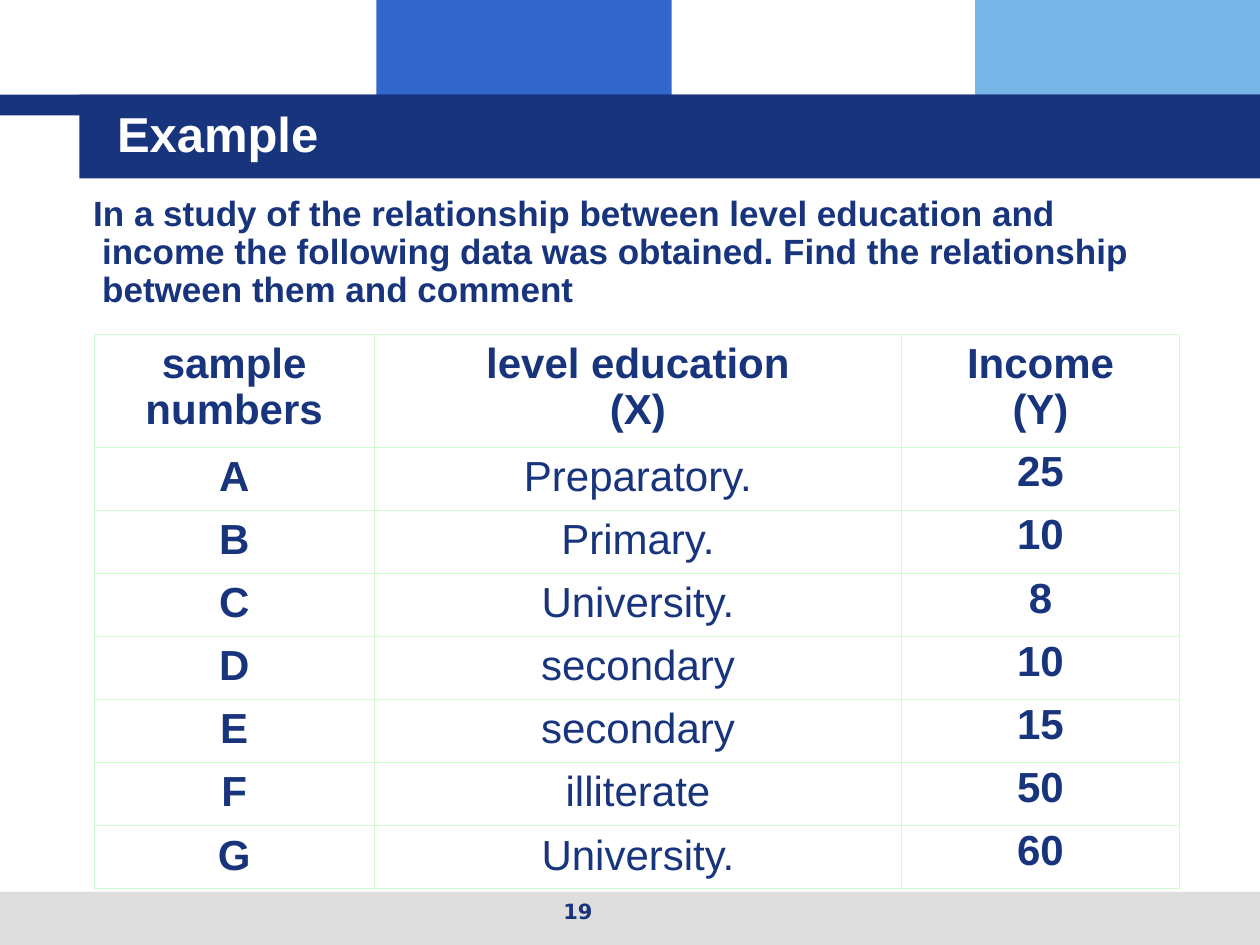
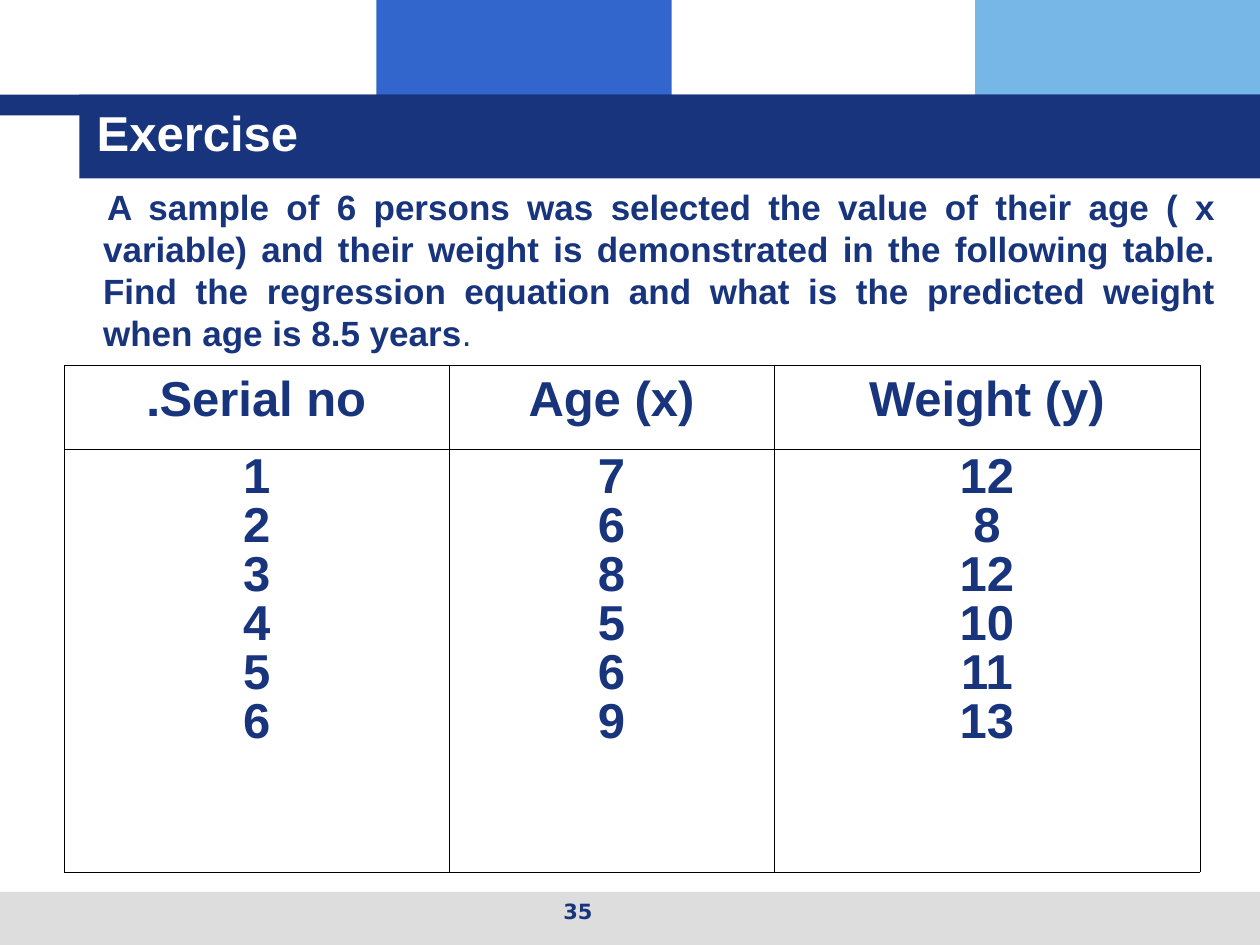
from lxml.etree import SubElement
from pptx import Presentation
from pptx.dml.color import RGBColor
from pptx.enum.shapes import MSO_SHAPE as SHAPE
from pptx.enum.text import MSO_ANCHOR as ANCHOR, PP_ALIGN as ALIGN
from pptx.oxml.ns import qn
from pptx.util import Cm, Pt

# Shared look
NAVY, BLUE, SKY, GREY, WHITE = "17347D", "3366CC", "77B7E7", "DDDDDD", "FFFFFF"
MINT, BLACK = "CCFFCC", "000000"
BANDS = [
    (7.59, 0, 5.95, 2.34, BLUE),
    (19.66, 0, 5.74, 2.34, SKY),
    (0, 17.98, 25.4, 1.07, GREY),
    (0, 1.91, 25.4, 0.42, NAVY),
    (1.6, 1.91, 23.8, 1.69, NAVY),
]
TITLE = {"size": Pt(28), "bold": True, "name": "Arial", "color": WHITE}
BODY = {**TITLE, "size": Pt(20), "color": NAVY}
PAGE_NUMBER = {"size": Pt(12), "bold": True, "name": "DejaVu Sans", "color": NAVY}


def rgb(hex_color):
    return RGBColor.from_string(hex_color)


def add_run(p, text, fmt):
    r = p.add_run()
    r.text = text
    for name, value in fmt.items():
        if name == "color":
            r.font.color.rgb = rgb(value)
        else:
            setattr(r.font, name, value)


def add_text(s, box, runs, anchor=ANCHOR.TOP, para=None, margin=0, indent=0):
    """Add a one-paragraph text box; runs are (text, format) pairs."""
    tf = s.shapes.add_textbox(*map(Cm, box)).text_frame
    tf.word_wrap = True
    tf.vertical_anchor = anchor
    p = tf.paragraphs[0]
    for name, value in (para or {}).items():
        setattr(p, name, value)
    pPr = p._p.get_or_add_pPr()
    pPr.set("marL", str(Cm(margin)))
    pPr.set("indent", str(Cm(indent)))
    for text, fmt in runs:
        add_run(p, text, fmt)


def add_frame(prs, title, title_box, number):
    """Add a slide with its bands, title and page number."""
    s = prs.slides.add_slide(prs.slide_layouts[6])
    for *box, color in BANDS:
        band = s.shapes.add_shape(SHAPE.RECTANGLE, *map(Cm, box))
        band.shadow.inherit = False
        band.fill.solid()
        band.fill.fore_color.rgb = rgb(color)
        band.line.fill.background()
    add_text(s, title_box, [(title, TITLE)], ANCHOR.MIDDLE)
    add_text(s, (8.69, 17.98, 5.92, 0.89), [(str(number), PAGE_NUMBER)],
             para={"alignment": ALIGN.CENTER})
    return s


def set_borders(cell, color):
    tcPr = cell._tc.get_or_add_tcPr()
    for i, side in enumerate(("lnL", "lnR", "lnT", "lnB")):
        ln = tcPr.makeelement(qn(f"a:{side}"), {"w": str(Pt(0.45))})
        fill = SubElement(ln, qn("a:solidFill"))
        SubElement(fill, qn("a:srgbClr"), val=color)
        tcPr.insert(i, ln)


def fill_cell(cell, lines, fmt, header):
    """Header lines share a right-to-left paragraph; other lines get their own."""
    tf = cell.text_frame
    for i, line in enumerate(lines):
        if i and header:
            tf.paragraphs[0].add_line_break()
        p = tf.add_paragraph() if i and not header else tf.paragraphs[0]
        p.alignment = ALIGN.CENTER
        if header:
            p._p.get_or_add_pPr().set("rtl", "1")
        if line.isdigit():
            p.line_spacing = fmt["size"]
        add_run(p, line, fmt)


def add_grid(s, left, top, widths, heights, rows, size, border, plain_cols=()):
    """Add a bordered table; plain_cols are not bold below the header."""
    frame = s.shapes.add_table(len(rows), len(widths), Cm(left), Cm(top),
                               Cm(sum(widths)), Cm(sum(heights)))
    table = frame.table
    table.first_row = table.horz_banding = False
    for col, width in zip(table.columns, widths):
        col.width = Cm(width)
    for i, (row, height) in enumerate(zip(rows, heights)):
        table.rows[i].height = Cm(height)
        for j, text in enumerate(row):
            cell = table.cell(i, j)
            cell.fill.background()
            set_borders(cell, border)
            fmt = {**BODY, "size": Pt(size), "bold": i == 0 or j not in plain_cols}
            fill_cell(cell, text.split("\n"), fmt, header=i == 0)


def add_example(prs):
    s = add_frame(prs, "Example", (2.11, 1.7, 22.86, 1.96), 19)
    question = ("In a study of the relationship between level education and income "
                "the following data was obtained. Find the relationship between "
                "them and comment")
    add_text(s, (0.84, 3.81, 22.86, 2.95), [(question, BODY)],
             para={"line_spacing": Pt(21.7), "space_before": Pt(5)},
             margin=0.97, indent=-0.18)
    levels = ["Preparatory.", "Primary.", "University.", "secondary",
              "secondary", "illiterate", "University."]
    incomes = ["25", "10", "8", "10", "15", "50", "60"]
    rows = [("sample\nnumbers", "level education\n(X)", "Income\n(Y)"),
            *zip("ABCDEFG", levels, incomes)]
    add_grid(s, 1.9, 6.73, [5.64, 10.64, 5.59], [2.29] + [1.27] * len(levels),
             rows, 24, MINT, plain_cols=(1,))


def add_exercise(prs):
    s = add_frame(prs, "Exercise", (1.7, 1.07, 22.86, 3.18), 35)
    question = ("A sample of 6 persons was selected the value of their age ( x "
                "variable) and their weight is demonstrated in the following table. "
                "Find the regression equation and what is the predicted weight "
                "when age is 8.5 years")
    add_text(s, (0.86, 3.61, 23.9, 8.61),
             [(question, BODY), (".", {**BODY, "bold": False})],
             para={"alignment": ALIGN.JUSTIFY, "line_spacing": Pt(24),
                   "space_before": Pt(5)},
             margin=0.97, indent=0.08)
    columns = [(1, 2, 3, 4, 5, 6), (7, 6, 8, 5, 6, 9), (12, 8, 12, 10, 11, 13)]
    rows = [("Serial no.", "Age (x)", "Weight (y)"),
            ["\n".join(map(str, values)) for values in columns]]
    add_grid(s, 1.3, 7.37, [7.75, 6.55, 8.59], [1.68, 8.53], rows, 28, BLACK)


def main():
    prs = Presentation()
    prs.slide_width, prs.slide_height = Cm(25.4), Cm(19.05)
    add_example(prs)
    add_exercise(prs)
    prs.save("out.pptx")


if __name__ == "__main__":
    main()
